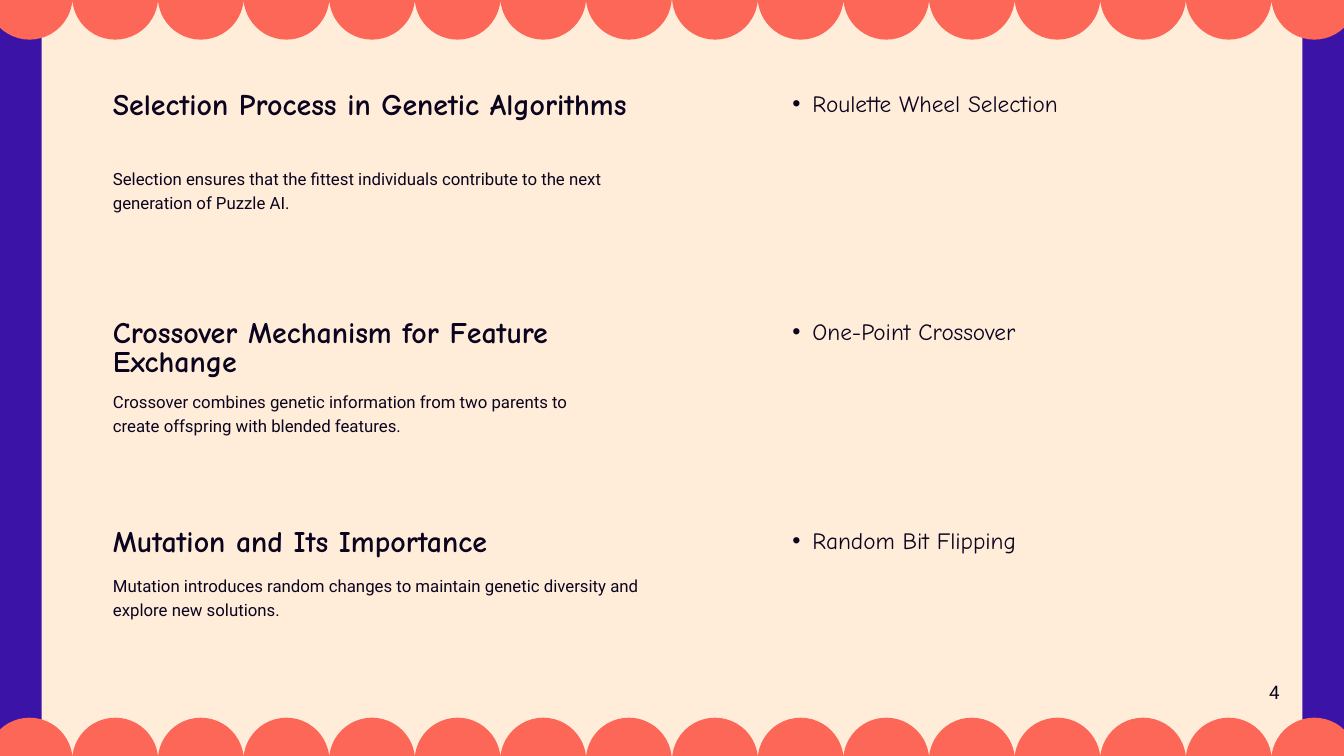
from dataclasses import dataclass
from math import acos, cos, degrees, radians, sin

from lxml.etree import SubElement
from pptx import Presentation
from pptx.dml.color import RGBColor
from pptx.enum.shapes import MSO_SHAPE
from pptx.enum.text import MSO_ANCHOR, MSO_AUTO_SIZE, PP_ALIGN
from pptx.oxml.ns import qn
from pptx.util import Inches, Pt


@dataclass(frozen=True)
class TextStyle:
    font: str
    size: float
    leading: float
    bold: bool = False


@dataclass(frozen=True)
class Theme:
    side: RGBColor = RGBColor(0x3B, 0x14, 0xA7)
    panel: RGBColor = RGBColor(0xFF, 0xED, 0xDA)
    scallop: RGBColor = RGBColor(0xFC, 0x67, 0x57)
    ink: RGBColor = RGBColor(0x0B, 0x04, 0x1E)
    heading: TextStyle = TextStyle("Comic Neue", 32, 32, True)
    body: TextStyle = TextStyle("Roboto", 18, 25.6)
    bullet: TextStyle = TextStyle("Comic Neue", 25, 35)
    number: TextStyle = TextStyle("Roboto", 20, 28)


THEME = Theme()
LEFT = 1.68

SECTIONS = [
    ("Selection Process in Genetic Algorithms", 1.36, 0.92,
     "Selection ensures that the fittest individuals contribute to the next "
     "generation of Puzzle AI.", 2.45, 8.27, "Roulette Wheel Selection"),
    ("Crossover Mechanism for Feature Exchange", 4.75, 0.92,
     "Crossover combines genetic information from two parents to create "
     "offspring with blended features.", 5.78, 7.37, "One-Point Crossover"),
    ("Mutation and Its Importance", 7.86, 0.48,
     "Mutation introduces random changes to maintain genetic diversity and "
     "explore new solutions.", 8.51, 8.06, "Random Bit Flipping"),
]


def place(sp, x, y, w, h):
    sp.left, sp.top, sp.width, sp.height = (Inches(v) for v in (x, y, w, h))


def write(sp, text, style, align=PP_ALIGN.LEFT, wrap=True):
    tf = sp.text_frame
    tf.margin_left = tf.margin_right = tf.margin_top = tf.margin_bottom = 0
    tf.vertical_anchor = MSO_ANCHOR.TOP
    tf.auto_size = MSO_AUTO_SIZE.NONE
    tf.word_wrap = wrap
    p = tf.paragraphs[0]
    p.alignment = align
    p.line_spacing = Pt(style.leading)
    p.space_before = Pt(0)
    r = p.add_run()
    r.text = text
    r.font.name = style.font
    r.font.size = Pt(style.size)
    r.font.bold = style.bold
    r.font.color.rgb = THEME.ink
    return p


def add_text(s, box, text, style, **options):
    sp = s.shapes.add_textbox(*(Inches(v) for v in box))
    write(sp, text, style, **options)


def fill_bullet(sp, box, text):
    place(sp, *box)
    p = write(sp, text, THEME.bullet)
    p.level = 1
    pPr = p._p.get_or_add_pPr()
    pPr.set("marL", str(Inches(0.59)))
    pPr.set("indent", str(Inches(-0.3)))
    SubElement(pPr, qn("a:buFont")).set("typeface", "Arial")
    SubElement(pPr, qn("a:buChar")).set("char", "•")


def paint(sp, color):
    sp.fill.solid()
    sp.fill.fore_color.rgb = color
    sp.line.fill.background()
    sp.shadow.inherit = False


def add_panel(s):
    sp = s.shapes.add_shape(MSO_SHAPE.RECTANGLE, Inches(0.62), Inches(-0.05),
                            Inches(18.76), Inches(11.35))
    paint(sp, THEME.panel)
    s.shapes.title._element.addprevious(sp._element)


def bend(line, radius, start, end):
    line.tag = qn("a:arcTo")
    for pt in list(line):
        line.remove(pt)
    for name in ("wR", "hR"):
        line.set(name, str(Inches(radius)))
    line.set("stAng", str(round(start * 60000)))
    line.set("swAng", str(round((end - start) * 60000)))


def add_scallops(s, x, cy, count=8, radius=0.64, pitch=1.274):
    joint = degrees(acos(pitch / 2 / radius))
    centers = [x + radius + i * pitch for i in range(count)]
    arcs = []
    for turn, row in ((0, centers[::-1]), (180, centers)):
        for i, cx in enumerate(row):
            start = turn + (joint if i else 0)
            end = turn + 180 - (joint if i < count - 1 else 0)
            arcs += [(cx, start, turn + 90), (cx, turn + 90, end)]

    def point(cx, angle):
        return (Inches(cx + radius * cos(radians(angle))),
                Inches(cy + radius * sin(radians(angle))))

    builder = s.shapes.build_freeform(*point(*arcs[0][:2]))
    builder.add_line_segments([point(cx, end) for cx, _, end in arcs], close=True)
    sp = builder.convert_to_shape()
    lines = list(sp._element.iter(qn("a:lnTo")))
    for line, (_, start, end) in zip(lines, arcs):
        bend(line, radius, start, end)
    paint(sp, THEME.scallop)


def main():
    prs = Presentation()
    prs.slide_width, prs.slide_height = Inches(20), Inches(11.25)
    s = prs.slides.add_slide(prs.slide_layouts.get_by_name("Comparison"))
    s.background.fill.solid()
    s.background.fill.fore_color.rgb = THEME.side
    add_panel(s)

    title, *bodies = s.placeholders
    for i, (heading, y, h, body, body_y, w, bullet) in enumerate(SECTIONS):
        if i == 0:
            place(title, LEFT, y, w, h)
            write(title, heading, THEME.heading)
        else:
            add_text(s, (LEFT, y, w, h), heading, THEME.heading)
        add_text(s, (LEFT, body_y, w, 0.68), body, THEME.body)
        fill_bullet(bodies[i], (11.5, y - 0.1, 7.38, 0.46), bullet)
    for sp in bodies[len(SECTIONS):]:
        sp._element.getparent().remove(sp._element)

    add_text(s, (18.88, 10.07, 0.17, 0.22), "4", THEME.number,
             align=PP_ALIGN.CENTER, wrap=False)
    for cy in (-0.05, 11.32):
        for x in (-0.2, 10):
            add_scallops(s, x, cy)
    prs.save("out.pptx")


if __name__ == "__main__":
    main()
